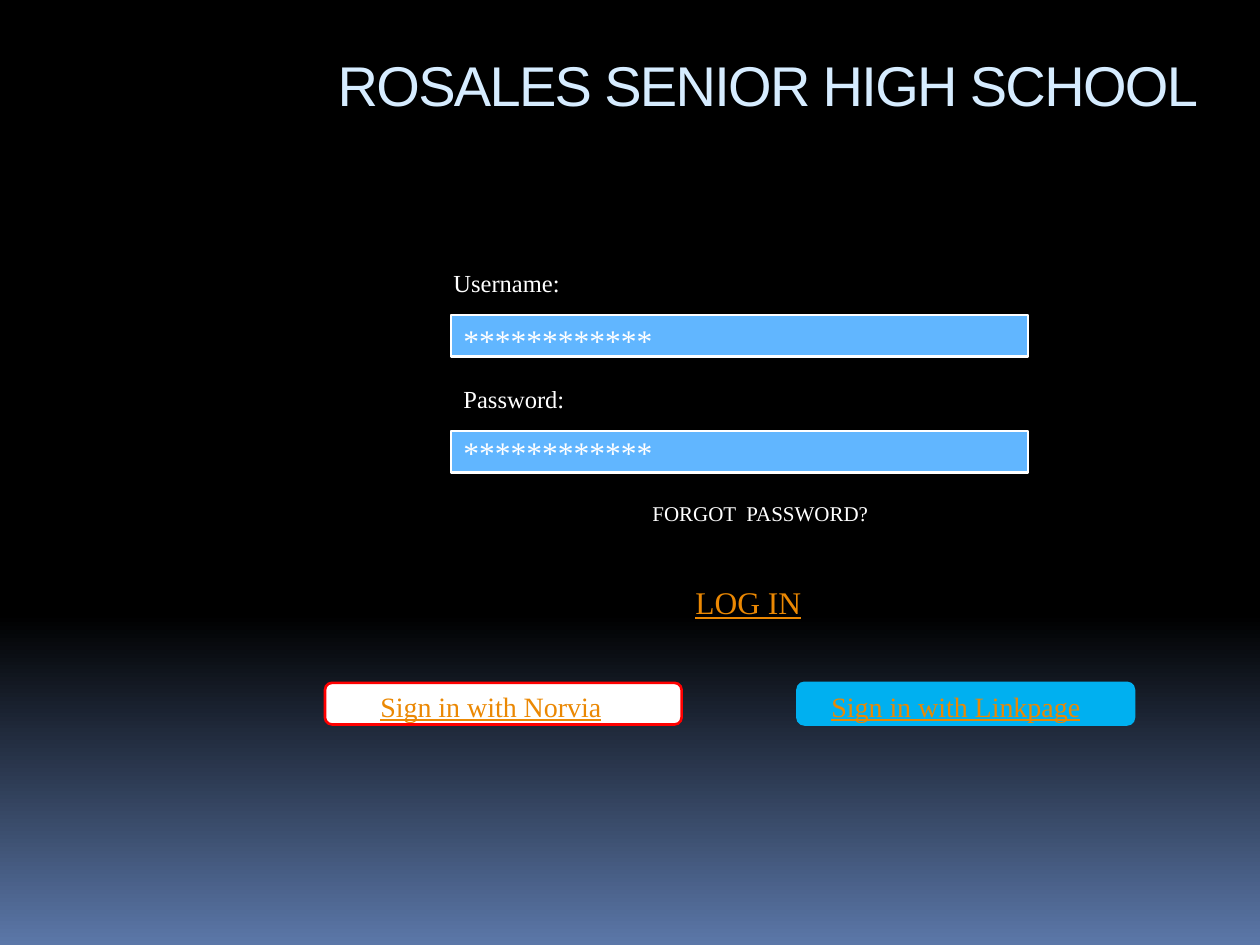
from copy import deepcopy
from dataclasses import dataclass

from pptx import Presentation
from pptx.dml.color import RGBColor
from pptx.enum.shapes import MSO_SHAPE as Shape
from pptx.enum.text import MSO_ANCHOR as Anchor, PP_ALIGN as Align
from pptx.oxml.ns import qn
from pptx.util import Inches, Pt


@dataclass(frozen=True)
class Theme:
    heading_font: str = "Arial"
    body_font: str = "Times New Roman"
    night: str = "000000"
    dusk: str = "5B77A8"
    heading: str = "D6ECFF"
    white: str = "FFFFFF"
    field: str = "61B6FF"
    link: str = "EB8803"
    red: str = "FF0000"
    cyan: str = "00B0F0"
    title_size: int = 32
    large: int = 18
    button_size: int = 16
    label_size: int = 14
    small: int = 12


theme = Theme()


def write(box, text, size, color=theme.white, font=theme.body_font,
          underline=None, anchor=Anchor.TOP, wrap=False):
    frame = box.text_frame
    frame.word_wrap = wrap
    frame.vertical_anchor = anchor
    para = frame.paragraphs[0]
    para.alignment = Align.LEFT
    span = para.add_run()
    span.text = text
    span.font.name = font
    span.font.size = Pt(size)
    span.font.underline = underline
    span.font.color.rgb = RGBColor.from_string(color)
    return span


def add_panel(kind, left, top, width, fill, line):
    panel = page.shapes.add_shape(
        kind, Inches(left), Inches(top), Inches(width), Inches(0.33))
    panel.shadow.inherit = False
    panel.fill.solid()
    panel.fill.fore_color.rgb = RGBColor.from_string(fill)
    panel.line.color.rgb = RGBColor.from_string(line)
    panel.line.width = Pt(1.5)
    return panel


deck = Presentation()
deck.slide_width, deck.slide_height = Inches(10), Inches(7.5)
page = deck.slides.add_slide(deck.slide_layouts[5])

# Background: black down to 65 %, then fading to blue
background = page.background.fill
background.gradient()
background.gradient_angle = 270
stop_list = page.background._cSld.find(".//" + qn("a:gsLst"))
stop_list.insert(1, deepcopy(stop_list[0]))
stops = [(0, theme.night), (0.65, theme.night), (1, theme.dusk)]
for stop, (position, color) in zip(background.gradient_stops, stops):
    stop.position = position
    stop.color.rgb = RGBColor.from_string(color)

# Title
title = page.shapes.title
title.left, title.top = Inches(2.58), Inches(0.33)
title.width, title.height = Inches(7.25), Inches(0.67)
heading = write(title, "ROSALES SENIOR HIGH SCHOOL", theme.title_size,
                color=theme.heading, font=theme.heading_font,
                anchor=Anchor.MIDDLE, wrap=True)
heading.font._element.set("spc", "-100")

# Input fields
fields = [add_panel(Shape.FLOWCHART_PROCESS, 3.58, top, 4.58,
                    theme.field, theme.white) for top in (2.5, 3.42)]
mask = "*" * 12
write(fields[1], mask, theme.large, anchor=Anchor.MIDDLE, wrap=True)

# Sign-in buttons
add_panel(Shape.ROUNDED_RECTANGLE, 2.58, 5.42, 2.83, theme.white, theme.red)
add_panel(Shape.ROUNDED_RECTANGLE, 6.33, 5.42, 2.67, theme.cyan, theme.cyan)

# Labels and link texts
link = {"color": theme.link, "underline": True}
texts = [
    ("FORGOT  PASSWORD?", 5.08, 3.92, 1.93, 0.3, theme.small, {}),
    ("LOG IN", 5.42, 4.58, 1.05, 0.4, theme.large, link),
    ("Sign in with Norvia", 2.92, 5.42, 2.02, 0.37, theme.button_size, link),
    ("Sign in with Linkpage", 6.5, 5.42, 2.23, 0.37, theme.button_size, link),
    ("Username:", 3.5, 2.08, 1.05, 0.34, theme.label_size, {}),
    ("Password:", 3.58, 3, 1.01, 0.34, theme.label_size, {}),
    (mask, 3.58, 2.5, 1.72, 0.4, theme.large, {}),
]
for text, left, top, width, height, size, style in texts:
    box = page.shapes.add_textbox(
        Inches(left), Inches(top), Inches(width), Inches(height))
    write(box, text, size, **style)

deck.save("out.pptx")
